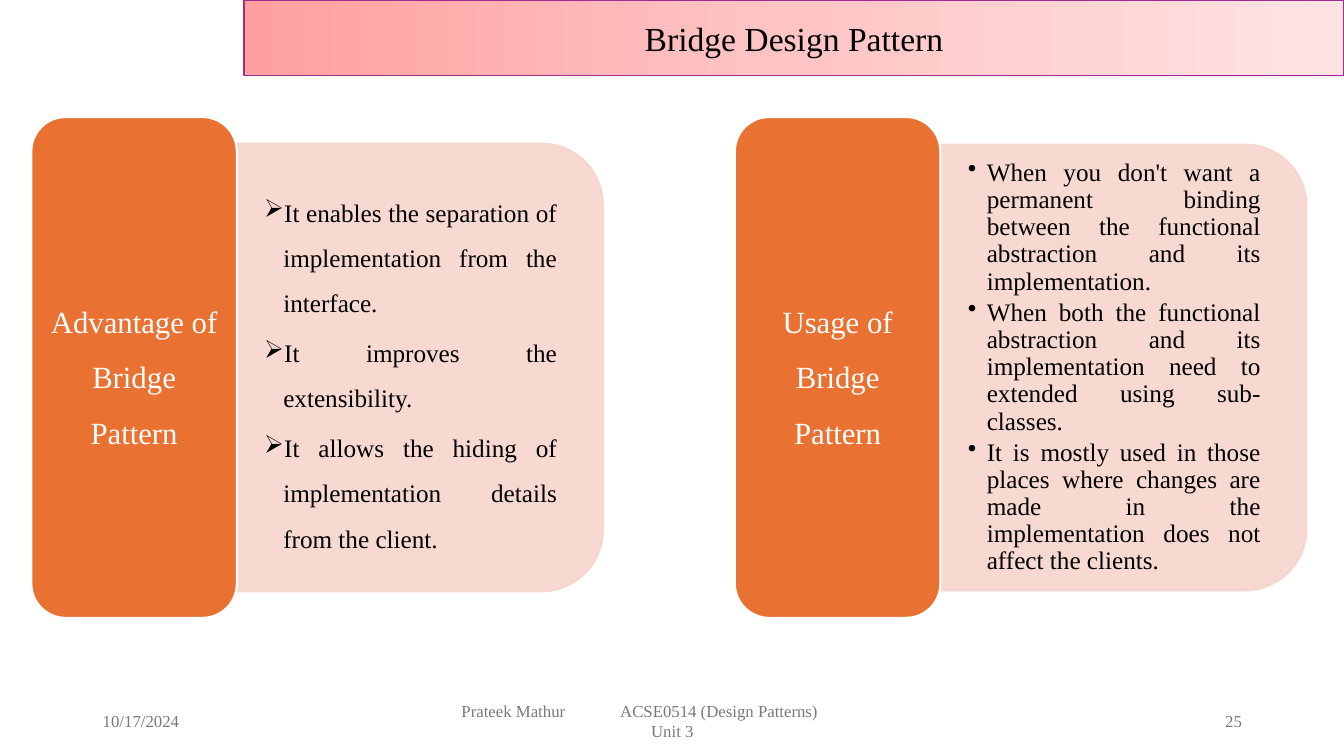
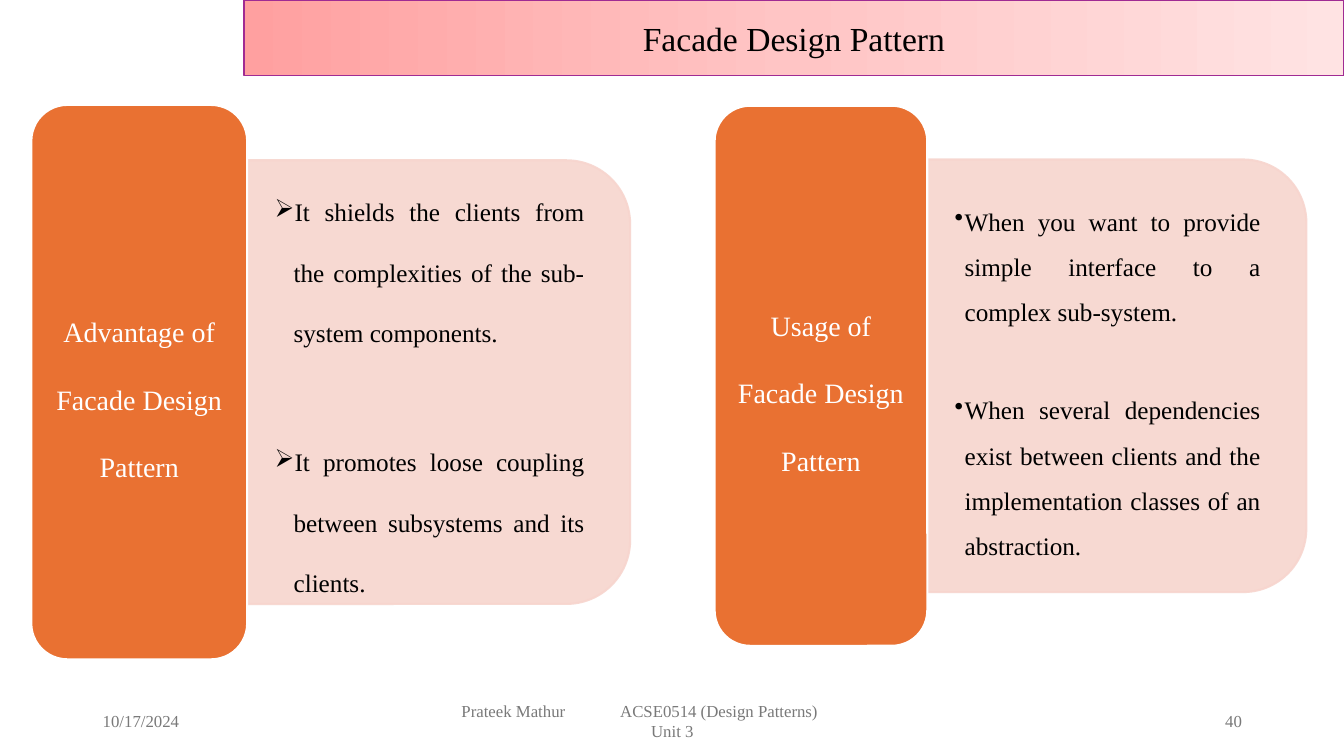
from dataclasses import dataclass
from typing import Any

from lxml import etree
from pptx import Presentation
from pptx import util as u
from pptx.dml import color
from pptx.enum import shapes, text
from pptx.oxml import ns

Cm, Pt = u.Cm, u.Pt
Align = text.PP_ALIGN
Kind = shapes.MSO_SHAPE


@dataclass(frozen=True)
class Theme:
    font: str = "Times New Roman"
    ink: str = "000000"
    white: str = "FFFFFF"
    grey: str = "797979"
    orange: str = "E97132"
    pink: str = "F7D5CE"
    edge: str = "A02B93"
    fade: tuple[tuple[int, str], ...] = ((0, "FFA0A0"), (50, "FFC5C5"), (100, "FFE3E3"))
    alpha: int = 90
    title: int = 24
    body: int = 18
    foot: int = 12


@dataclass(frozen=True)
class Card:
    label: str
    points: tuple[str, ...]
    mark: str
    left: float
    mid: float
    tab: tuple[float, float]
    body: tuple[float, float]
    size: int
    lead: float
    pitch: float
    gap: float
    hang: float = 0.48


@dataclass(frozen=True)
class Page:
    title: str
    number: int
    cards: tuple[Card, ...]


T = Theme()
WIDE, HIGH = 33.87, 19.05
TRIM = 0.46

PAGES = (
    Page("Bridge Design Pattern", 25, (
        Card("Usage of Bridge Pattern", (
            "When you don't want a permanent binding between the functional "
            "abstraction and its implementation.",
            "When both the functional abstraction and its implementation need "
            "to extended using sub-classes.",
            "It is mostly used in those places where changes are made in the "
            "implementation does not affect the clients.",
        ), "•", 18.52, 9.26, (5.18, 12.62), (9.22, 11.23), 22, 1.5, 0.9, 2.7),
        Card("Advantage of Bridge Pattern", (
            "It enables the separation of implementation from the interface.",
            "It improves the extensibility.",
            "It allows the hiding of implementation details from the client.",
        ), "➢", 0.79, 9.26, (5.18, 12.62), (9.22, 11.28), 22, 1.5, 1.5, 3),
    )),
    Page("Facade Design Pattern", 40, (
        Card("Usage of Facade Design Pattern", (
            "When you want to provide simple interface to a complex sub-system.",
            "When several dependencies exist between clients and the "
            "implementation classes of an abstraction.",
        ), "•", 18.01, 9.47, (5.36, 13.61), (9.55, 10.9), 20, 2, 1.5, 37.5, 0.25),
        Card("Advantage of Facade Design Pattern", (
            "It shields the clients from the complexities of the sub-system "
            "components.",
            "It promotes loose coupling between subsystems and its clients.",
        ), "➢", 0.79, 9.63, (5.44, 13.97), (9.65, 11.18), 20, 2, 2, 49),
    )),
)


def rgb(code: str) -> color.RGBColor:
    return color.RGBColor.from_string(code)


def add(parent: Any, tag: str, **attrs: Any) -> Any:
    return etree.SubElement(parent, ns.qn(tag), {k: str(v) for k, v in attrs.items()})


def shape(tree: Any, kind: Any, box: tuple[float, ...], fill: str,
          line: str, width: float) -> Any:
    item = tree.add_shape(kind, *map(Cm, box))
    item.shadow.inherit = False
    item.fill.solid()
    item.fill.fore_color.rgb = rgb(fill)
    item.line.color.rgb = rgb(line)
    item.line.width = Pt(width)
    return item


def frame(item: Any, side: float = 0.25, top: float = 0.13) -> Any:
    area = item.text_frame
    area.word_wrap = True
    area.vertical_anchor = text.MSO_ANCHOR.MIDDLE
    area.margin_left = area.margin_right = Cm(side)
    area.margin_top = area.margin_bottom = Cm(top)
    return area


def write(para: Any, words: str, size: int, ink: str, align: Any) -> None:
    para.alignment = align
    run = para.add_run()
    run.text = words
    run.font.name = T.font
    run.font.size = Pt(size)
    run.font.color.rgb = rgb(ink)


def band(slide: Any, title: str) -> None:
    left = 6.15
    item = shape(slide.shapes, Kind.RECTANGLE, (left, 0, WIDE - left, 1.9),
                 T.white, T.edge, 1)
    item.fill.gradient()
    item.fill.gradient_angle = 0
    stops = item.fill._fill._gradFill.find(ns.qn("a:gsLst"))
    for stop in list(stops):
        stops.remove(stop)
    for pos, code in T.fade:
        add(add(stops, "a:gs", pos=pos * 1000), "a:srgbClr", val=code)
    write(frame(item).paragraphs[0], title, T.title, T.ink, Align.CENTER)


def foot(slide: Any, number: int) -> None:
    top, high = 17.65, 1.02
    for left, wide, side, words, align in (
        (2.34, 7.62, 0.25, "10/17/2024", Align.LEFT),
        (11.23, 11.43, 0.4, "Prateek Mathur\tACSE0514 (Design Patterns)", Align.LEFT),
        (23.93, 7.62, 0.25, str(number), Align.RIGHT),
    ):
        item = slide.shapes.add_textbox(*map(Cm, (left, top, wide, high)))
        area = frame(item, side)
        para = area.paragraphs[0]
        if "\t" in words:
            tabs = add(para._p.get_or_add_pPr(), "a:tabLst")
            add(tabs, "a:tab", pos=Cm(4), algn="l")
            write(area.add_paragraph(), "Unit 3", T.foot, T.grey, Align.CENTER)
        write(para, words, T.foot, T.grey, align)


def panel(tree: Any, card: Card) -> None:
    wide, high = card.body
    left = card.left + card.tab[0]
    box = (left + (wide - high) / 2, card.mid - wide / 2, high, wide)
    item = shape(tree, Kind.ROUND_2_SAME_RECTANGLE, box, T.pink, T.pink, 1.5)
    item.rotation = 90
    for tint in item._element.spPr.iter(ns.qn("a:srgbClr")):
        add(tint, "a:alpha", val=T.alpha * 1000)

    wide, high = wide - TRIM, high - 2 * TRIM
    note = tree.add_textbox(*map(Cm, (left, card.mid - high / 2, wide, high)))
    area = frame(note, 0.69, 0.36)
    for i, words in enumerate(card.points):
        para = area.add_paragraph() if i else area.paragraphs[0]
        props = para._p.get_or_add_pPr()
        props.set("marL", str(Cm(card.hang)))
        props.set("indent", str(-Cm(card.hang)))
        add(props, "a:buChar", char=card.mark)
        para.line_spacing = card.pitch
        if i:
            para.space_before = Pt(card.gap)
        write(para, words, T.body, T.ink, Align.JUSTIFY)


def label(tree: Any, card: Card) -> None:
    wide, high = card.tab
    box = (card.left, card.mid - high / 2, wide, high)
    item = shape(tree, Kind.ROUNDED_RECTANGLE, box, T.orange, T.white, 1.5)
    para = frame(item, 0.22, 0.12).paragraphs[0]
    para.line_spacing = card.lead
    write(para, card.label, card.size, T.white, Align.CENTER)


def main() -> None:
    deck = Presentation()
    deck.slide_width, deck.slide_height = Cm(WIDE), Cm(HIGH)
    for page in PAGES:
        slide = deck.slides.add_slide(deck.slide_layouts[6])
        for card in page.cards:
            tree = slide.shapes.add_group_shape().shapes
            panel(tree, card)
            label(tree, card)
        foot(slide, page.number)
        band(slide, page.title)
    deck.save("out.pptx")


if __name__ == "__main__":
    main()
